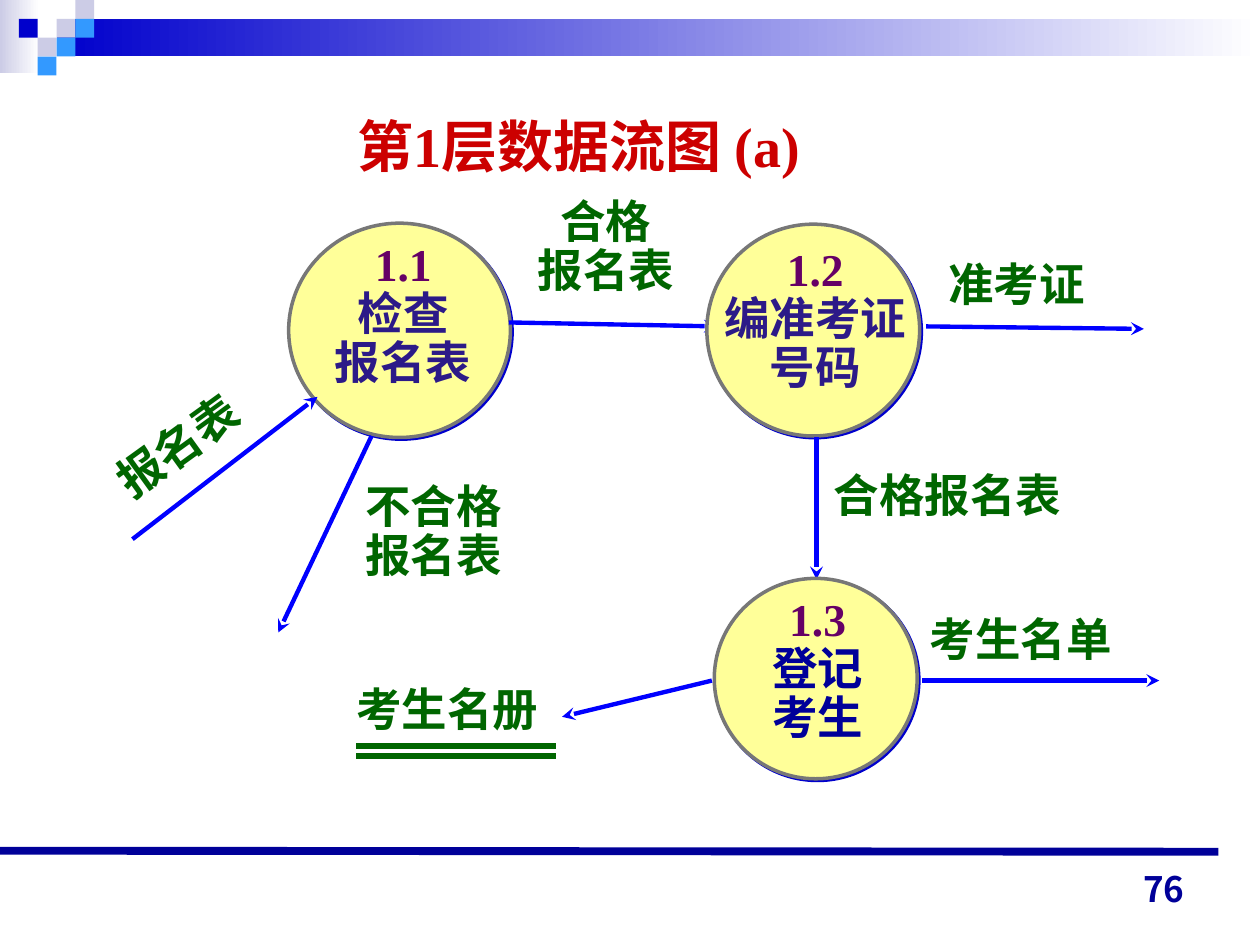
from dataclasses import dataclass

from lxml import etree
from pptx import Presentation
from pptx.dml.color import RGBColor
from pptx.enum.shapes import MSO_CONNECTOR, MSO_SHAPE
from pptx.enum.text import MSO_ANCHOR, PP_ALIGN
from pptx.oxml.ns import qn
from pptx.util import Cm, Pt

LEFT, CENTER, RIGHT = PP_ALIGN.LEFT, PP_ALIGN.CENTER, PP_ALIGN.RIGHT
TOP, BOTTOM = MSO_ANCHOR.TOP, MSO_ANCHOR.BOTTOM
RECTANGLE, OVAL = MSO_SHAPE.RECTANGLE, MSO_SHAPE.OVAL


@dataclass(frozen=True)
class Theme:
    title: str = "CC0000"
    number: str = "660066"
    process: str = "2C1A88"
    navy: str = "000099"
    flow: str = "0000FF"
    label: str = "006600"
    circle: str = "FFFF99"
    outline: str = "777777"
    blue: str = "0000CC"
    sky: str = "3399FF"
    lavender: str = "CCCCE6"
    white: str = "FFFFFF"
    title_size: int = 32
    body_size: int = 26
    page_size: int = 20
    serif: str = "Times New Roman"
    sans: str = "Noto Sans CJK JP"


theme = Theme()
presentation = Presentation()
presentation.slide_width, presentation.slide_height = Cm(25.4), Cm(19.05)
slide = presentation.slides.add_slide(presentation.slide_layouts[6])
shapes = slide.shapes


def add_text(box, lines, colors, size=theme.body_size, align=LEFT,
             anchor=TOP, latin=theme.serif, rotation=0):
    """Add a text box with one paragraph for each line and its colour."""
    shape = shapes.add_textbox(*map(Cm, box))
    shape.rotation = rotation
    frame = shape.text_frame
    frame.word_wrap, frame.vertical_anchor = True, anchor
    for index, (line, color) in enumerate(zip(lines, colors)):
        paragraph = frame.paragraphs[0] if index == 0 else frame.add_paragraph()
        paragraph.alignment = align
        if len(lines) > 1:
            paragraph.line_spacing = 0.9
        run = paragraph.add_run()
        run.text = line
        for name, value in {"size": Pt(size), "bold": True, "name": latin}.items():
            setattr(run.font, name, value)
        run.font.color.rgb = RGBColor.from_string(color)
        etree.SubElement(run.font._element, qn("a:ea"), typeface=theme.sans)


def add_line(start, end, color, width, arrow=False):
    line = shapes.add_connector(MSO_CONNECTOR.STRAIGHT, *map(Cm, start + end))
    line.line.color.rgb = RGBColor.from_string(color)
    line.line.width = Pt(width)
    if arrow:
        etree.SubElement(line.line._get_or_add_ln(), qn("a:tailEnd"), type="stealth")
    etree.SubElement(line._element.spPr, qn("a:effectLst"))


# Header: two fading bands and a mosaic on a square grid
for box, color in [
    ((0, 0, 0.79, 1.48), theme.lavender),
    ((1.14, 0.38, 24.26, 0.76), theme.blue),
]:
    band = shapes.add_shape(RECTANGLE, *map(Cm, box))
    band.shadow.inherit = False
    band.line.fill.background()
    band.fill.gradient()
    band.fill.gradient_angle = 0
    for stop, stop_color in zip(band.fill.gradient_stops, (color, theme.white)):
        stop.color.rgb = RGBColor.from_string(stop_color)

TILE = 0.38
for column, row, color in [
    (3, 1, theme.lavender), (4, 0, theme.lavender), (4, 1, theme.sky),
    (2, 2, theme.lavender), (1, 1, theme.blue), (3, 2, theme.sky),
    (2, 3, theme.sky),
]:
    tile = shapes.add_shape(RECTANGLE, Cm(column * TILE), Cm(row * TILE), Cm(TILE), Cm(TILE))
    tile.shadow.inherit = False
    tile.line.fill.background()
    tile.fill.solid()
    tile.fill.fore_color.rgb = RGBColor.from_string(color)

# Later circles cover the arrowheads of earlier flows
title_box = (6.96, 2.13, 11.46, 1.6)
add_text(title_box, ["第1层数据流图 (a)"], [theme.title], theme.title_size)

# Process: circle, caption box, caption, name colour, flows.
# Flow: start, end, label box, label, label format.
processes = [
    ((5.82, 4.5, 4.47, 4.32), (5.59, 4.75, 5.08, 3.23),
     ["1.1", "检查", "报名表"], theme.process, [
        ((2.67, 10.87), (6.4, 8), (1.88, 8.1, 3.94, 1.35), ["报名表"], {"rotation": 324.2}),
        ((10.26, 6.5), (14.45, 6.58), (9.88, 3.89, 4.67, 2.24),
         ["合格", "报名表"], {"align": CENTER}),
        ((7.49, 8.79), (5.61, 12.75), (7.11, 9.63, 3.66, 2.24), ["不合格", "报名表"], {}),
    ]),
    ((14.25, 4.52, 4.29, 4.27), (14.3, 4.85, 4.27, 3.23),
     ["1.2", "编准考证号码"], theme.process, [
        ((18.67, 6.58), (23.06, 6.63), (18.87, 5.03, 3.68, 1.35), ["准考证"], {}),
        ((16.46, 8.81), (16.46, 11.68), (16.56, 9.3, 5.3, 1.37), ["合格报名表"], {}),
    ]),
    ((14.4, 11.66, 4.09, 4.04), (14.35, 11.91, 4.27, 3.23),
     ["1.3", "登记", "考生"], theme.navy, [
        ((14.35, 13.72), (11.33, 14.45), (6.93, 13.61, 4.4, 1.35), ["考生名册"], {}),
        ((18.59, 13.72), (23.37, 13.72), (18.49, 12.19, 4.57, 1.35), ["考生名单"], {}),
    ]),
]
for circle_box, caption_box, caption, name_color, flows in processes:
    circle = shapes.add_shape(OVAL, *map(Cm, circle_box))
    circle.fill.solid()
    circle.fill.fore_color.rgb = RGBColor.from_string(theme.circle)
    circle.line.color.rgb = RGBColor.from_string(theme.outline)
    circle.line.width = Pt(2)
    circle.shadow.inherit = False
    effects = circle._element.spPr.find(qn("a:effectLst"))
    shadow = etree.SubElement(effects, qn("a:outerShdw"), blurRad="0",
                              dist=str(Pt(1.4)), dir="2700000", algn="ctr", rotWithShape="0")
    etree.SubElement(shadow, qn("a:srgbClr"), val=theme.blue)

    for start, end, label_box, label, label_format in flows:
        add_line(start, end, theme.flow, 2.5, arrow=True)
        add_text(label_box, label, [theme.label] * len(label), **label_format)
    add_text(caption_box, caption, [theme.number, name_color, name_color], align=CENTER)

# Data store underline
for y in (15.04, 15.24):
    add_line((7.18, y), (11.2, y), theme.label, 3)

# Footer
add_line((0, 17.15), (24.56, 17.17), theme.navy, 4.5)
add_text((18.21, 17.2, 5.92, 1.27), ["76"], [theme.navy], theme.page_size,
         align=RIGHT, anchor=BOTTOM, latin=theme.sans)

presentation.save("out.pptx")
